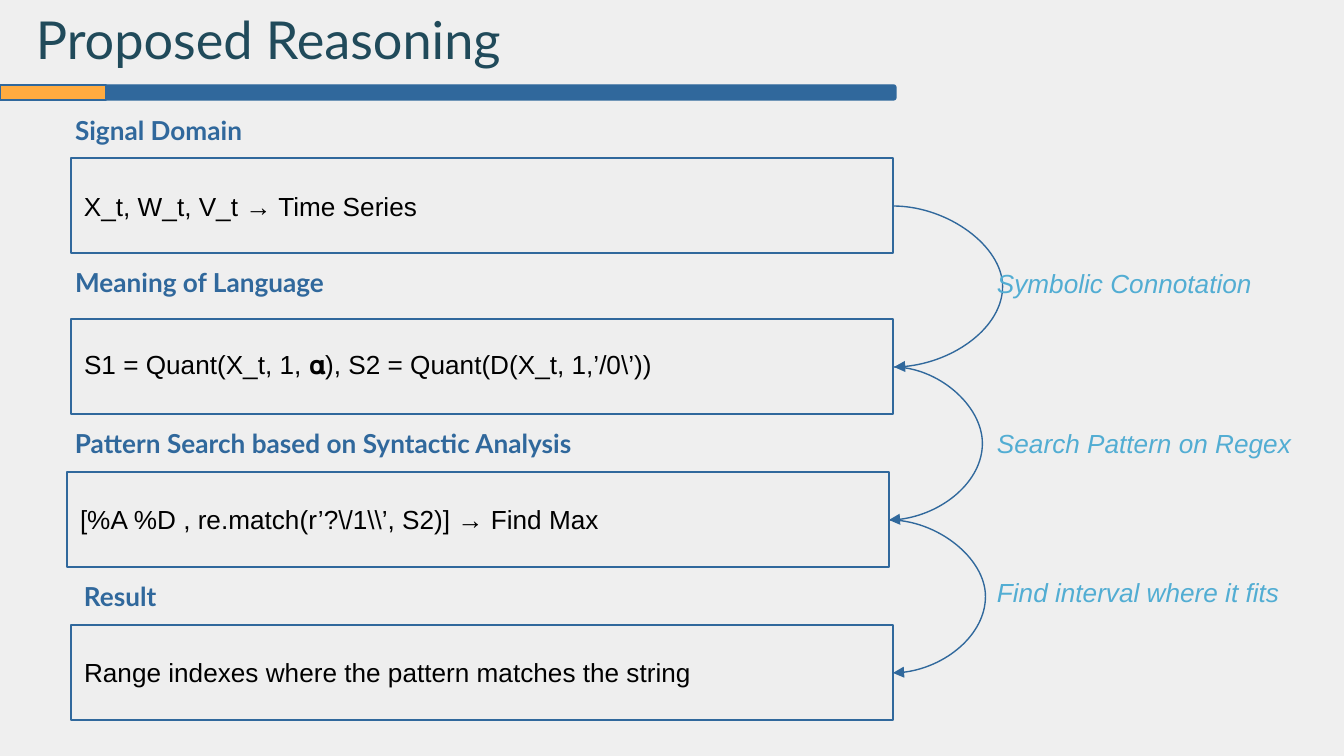
from dataclasses import dataclass
from itertools import pairwise
from typing import NamedTuple, Optional

from lxml import etree
from pptx import Presentation
from pptx import util as u
from pptx.dml.color import RGBColor
from pptx.enum import shapes, text
from pptx.oxml.ns import qn

PX = 914400 / 134.4  # EMU in one px


def emu(px: int) -> int:
    return round(px * PX)


class Font(NamedTuple):
    face: str
    size: int
    color: str
    bold: bool = False
    slant: bool = False


@dataclass(frozen=True)
class Theme:
    back: str = "EFEFEF"
    panel: str = "EEEEEE"
    blue: str = "30689C"
    gold: str = "FFAB40"
    line: float = 0.75
    inset: int = 13
    title: Font = Font("Lato", 28, "204A5A")
    head: Font = Font("Lato", 14, "30689C", bold=True)
    body: Font = Font("Arial", 14, "000000")
    note: Font = Font("Arial", 14, "52ADD3", slant=True)


THEME = Theme()


class Area(NamedTuple):
    left: int
    top: int
    width: int
    height: int

    @property
    def right(self) -> int:
        return self.left + self.width

    @property
    def mid(self) -> int:
        return self.top + (self.height + 1) // 2

    def scale(self) -> list[int]:
        return [emu(side) for side in self]


class Step(NamedTuple):
    """A heading above a panel; own is the text's area if it is not the panel."""
    head: str
    label: Area
    body: str
    panel: Area
    own: Optional[Area] = None


class Link(NamedTuple):
    """A note beside the curve to the next step; edge is the curve's far right."""
    note: str
    area: Area
    edge: int


ROW, TALL, WIDE = 66, 95, 822

STEPS = [
    Step("Signal Domain", Area(62, 101, 224, ROW),
         "X_t, W_t, V_t → Time Series",
         Area(71, 158, WIDE, TALL), Area(71, 177, 423, ROW)),
    Step("Meaning of Language", Area(62, 253, 297, ROW),
         "S1 = Quant(X_t, 1, 𝛂), S2 = Quant(D(X_t, 1,’/0\\’))",
         Area(71, 319, WIDE, TALL), Area(71, 335, 778, ROW)),
    Step("Pattern Search based on Syntactic Analysis", Area(62, 414, 567, ROW),
         "[%A %D , re.match(r’?\\/1\\\\’, S2)] → Find Max",
         Area(67, 472, WIDE, TALL)),
    Step("Result", Area(71, 567, 314, ROW),
         "Range indexes where the pattern matches the string",
         Area(71, 625, WIDE, TALL)),
]

LINKS = [
    Link("Symbolic Connotation", Area(984, 254, 285, ROW), 1002),
    Link("Search Pattern on Regex", Area(984, 414, 344, ROW), 982),
    Link("Find interval where it fits", Area(984, 563, 344, ROW), 985),
]


def write(shape, words: str, font: Font, center: bool = False) -> None:
    frame = shape.text_frame
    frame.word_wrap = True
    frame.margin_left = frame.margin_right = emu(THEME.inset)
    frame.margin_top = frame.margin_bottom = emu(THEME.inset)
    anchor = text.MSO_ANCHOR
    frame.vertical_anchor = anchor.MIDDLE if center else anchor.TOP
    para = frame.paragraphs[0]
    para.alignment = text.PP_ALIGN.LEFT
    run = para.add_run()
    run.text = words
    run.font.name = font.face
    run.font.size = u.Pt(font.size)
    run.font.bold = font.bold
    run.font.italic = font.slant
    run.font.color.rgb = RGBColor.from_string(font.color)


def label(slide, area: Area, words: str, font: Font, center: bool = False) -> None:
    write(slide.shapes.add_textbox(*area.scale()), words, font, center)


def block(slide, area: Area, fill: str, curve: Optional[float] = None):
    """Draw a rectangle, with rounded corners if curve is given."""
    kind = shapes.MSO_SHAPE
    form = kind.RECTANGLE if curve is None else kind.ROUNDED_RECTANGLE
    shape = slide.shapes.add_shape(form, *area.scale())
    if curve is not None:
        shape.adjustments[0] = curve
    shape.shadow.inherit = False
    shape.fill.solid()
    shape.fill.fore_color.rgb = RGBColor.from_string(fill)
    shape.line.color.rgb = RGBColor.from_string(THEME.blue)
    shape.line.width = u.Pt(THEME.line)
    return shape


def arrow(slide, first: Area, last: Area, edge: int) -> None:
    """Curve from one panel's right side to the next, bulging out to edge."""
    start = first.right
    end = last.right
    if end == start:
        end += 1  # the bulge is a share of the width, so it cannot be zero
    line = slide.shapes.add_connector(
        shapes.MSO_CONNECTOR.CURVE,
        emu(start), emu(first.mid), emu(end), emu(last.mid))
    line.line.color.rgb = RGBColor.from_string(THEME.blue)
    line.line.width = u.Pt(THEME.line)
    props = line._element.spPr
    bulge = round((edge - start) / (end - start) * 100000)
    guides = props.find(qn("a:prstGeom")).find(qn("a:avLst"))
    etree.SubElement(guides, qn("a:gd"), name="adj1", fmla=f"val {bulge}")
    etree.SubElement(props.find(qn("a:ln")), qn("a:tailEnd"),
                     type="triangle", w="med", len="med")
    etree.SubElement(props, qn("a:effectLst"))


def main() -> None:
    deck = Presentation()
    deck.slide_width, deck.slide_height = emu(1344), emu(756)
    slide = deck.slides.add_slide(deck.slide_layouts[6])
    slide.background.fill.solid()
    slide.background.fill.fore_color.rgb = RGBColor.from_string(THEME.back)

    label(slide, Area(23, 0, 754, 78), "Proposed Reasoning", THEME.title, True)
    block(slide, Area(98, 85, 798, 15), THEME.blue, 0.17)
    block(slide, Area(0, 85, 106, 15), THEME.gold, 0)

    for step in STEPS:
        label(slide, step.label, step.head, THEME.head)
        panel = block(slide, step.panel, THEME.panel)
        if step.own:
            label(slide, step.own, step.body, THEME.body)
        else:
            write(panel, step.body, THEME.body, True)

    for link, (first, last) in zip(LINKS, pairwise(STEPS)):
        arrow(slide, first.panel, last.panel, link.edge)
        label(slide, link.area, link.note, THEME.note)

    deck.save("out.pptx")


if __name__ == "__main__":
    main()
